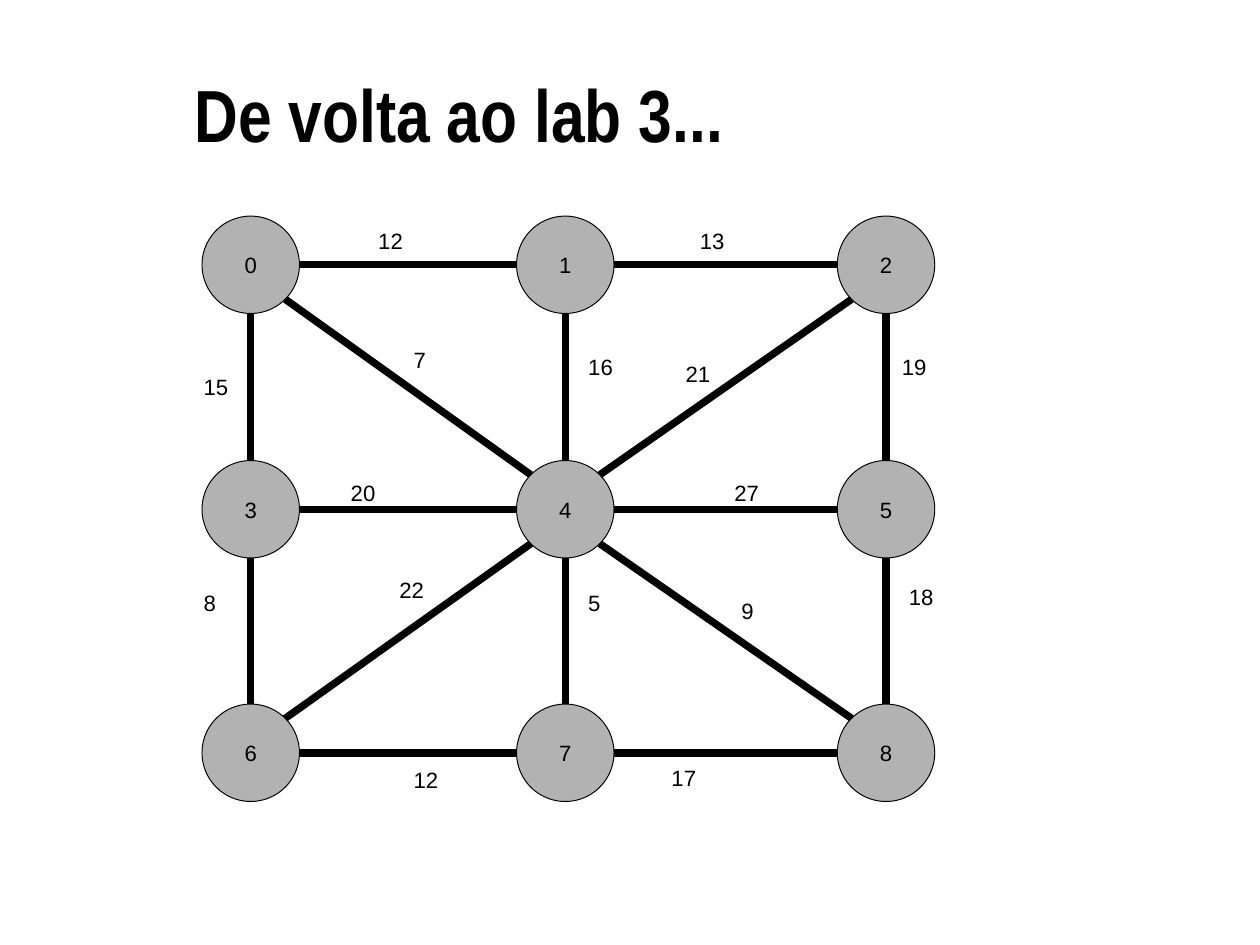
from dataclasses import dataclass
from math import hypot

from lxml import etree
from pptx import Presentation
from pptx.dml.color import RGBColor
from pptx.enum.shapes import MSO_CONNECTOR, MSO_SHAPE
from pptx.enum.text import MSO_ANCHOR, PP_ALIGN
from pptx.oxml.ns import qn
from pptx.util import Inches, Pt

STRAIGHT = MSO_CONNECTOR.STRAIGHT
OVAL = MSO_SHAPE.OVAL
MIDDLE = MSO_ANCHOR.MIDDLE
LEFT, CENTER = PP_ALIGN.LEFT, PP_ALIGN.CENTER


@dataclass(frozen=True)
class Theme:
    ink: RGBColor = RGBColor(0x00, 0x00, 0x00)
    node_fill: RGBColor = RGBColor(0xB2, 0xB2, 0xB2)
    title_font: str = "Arial Narrow"
    body_font: str = "Arial"
    title_size: Pt = Pt(60)
    body_size: Pt = Pt(18)
    node_line: Pt = Pt(0.79)
    edge_line: Pt = Pt(6)


THEME = Theme()

COLUMN_CENTERS = (2.83, 6.38, 10.0)
ROW_CENTERS = (2.99, 5.75, 8.5)
NODE_RADIUS = 0.55

# Node, node, weight, left and top of the weight label
EDGES = (
    (0, 1, 12, 4.17, 2.52),
    (1, 2, 13, 7.8, 2.52),
    (0, 3, 15, 2.2, 4.17),
    (0, 4, 7, 4.57, 3.86),
    (1, 4, 16, 6.54, 3.94),
    (2, 4, 21, 7.64, 4.02),
    (2, 5, 19, 10.08, 3.94),
    (3, 4, 20, 3.86, 5.36),
    (4, 5, 27, 8.19, 5.36),
    (3, 6, 8, 2.2, 6.61),
    (4, 6, 22, 4.41, 6.46),
    (4, 7, 5, 6.54, 6.61),
    (4, 8, 9, 8.27, 6.69),
    (5, 8, 18, 10.16, 6.54),
    (6, 7, 12, 4.57, 8.6),
    (7, 8, 17, 7.48, 8.58),
)


def write_text(shape, text, font_name, size, alignment, bold=False):
    paragraph = shape.text_frame.paragraphs[0]
    paragraph.text = text
    paragraph.alignment = alignment
    font = paragraph.font
    font.name, font.size, font.bold = font_name, size, bold
    font.color.rgb = THEME.ink


def add_title(slide, text):
    box = slide.shapes.add_textbox(
        Inches(0.18), Inches(0.39), Inches(10), Inches(1.78))
    frame = box.text_frame
    frame.word_wrap = True
    frame.vertical_anchor = MIDDLE
    frame.margin_left = frame.margin_right = 0
    frame.margin_top = frame.margin_bottom = 0
    write_text(box, text, THEME.title_font, THEME.title_size, CENTER, True)


def node_center(number):
    row, column = divmod(number, len(COLUMN_CENTERS))
    return COLUMN_CENTERS[column], ROW_CENTERS[row]


def add_node(slide, number):
    x, y = node_center(number)
    diameter = Inches(2 * NODE_RADIUS)
    node = slide.shapes.add_shape(
        OVAL, Inches(x - NODE_RADIUS), Inches(y - NODE_RADIUS),
        diameter, diameter)
    node.shadow.inherit = False
    node.fill.solid()
    node.fill.fore_color.rgb = THEME.node_fill
    node.line.color.rgb = THEME.ink
    node.line.width = THEME.node_line
    node.text_frame.word_wrap = False
    node.text_frame.vertical_anchor = MIDDLE
    write_text(node, str(number), THEME.body_font, THEME.body_size, CENTER)


def rim_point(number, toward):
    """Return the point, in eighths of a turn, where an edge leaves a node."""
    x, y = node_center(number)
    target_x, target_y = node_center(toward)
    step_x = (target_x > x) - (target_x < x)
    step_y = (target_y > y) - (target_y < y)
    reach = NODE_RADIUS / hypot(step_x, step_y)
    return Inches(x + step_x * reach), Inches(y + step_y * reach)


def add_edge(slide, start, end):
    edge = slide.shapes.add_connector(
        STRAIGHT, *rim_point(start, end), *rim_point(end, start))
    edge.line.color.rgb = THEME.ink
    edge.line.width = THEME.edge_line
    etree.SubElement(edge._element.spPr, qn("a:effectLst"))


def add_weight(slide, weight, left, top):
    box = slide.shapes.add_textbox(
        Inches(left), Inches(top), Inches(0.6), Inches(0.38))
    box.text_frame.word_wrap = True
    write_text(box, str(weight), THEME.body_font, THEME.body_size, LEFT)


def main():
    presentation = Presentation()
    presentation.slide_width = Inches(14.22)
    presentation.slide_height = Inches(10.67)
    slide = presentation.slides.add_slide(presentation.slide_layouts[6])

    add_title(slide, "De volta ao lab 3...")
    for number in range(len(COLUMN_CENTERS) * len(ROW_CENTERS)):
        add_node(slide, number)
    for start, end, *_ in EDGES:
        add_edge(slide, start, end)
    for _, _, weight, left, top in EDGES:
        add_weight(slide, weight, left, top)

    presentation.save("out.pptx")


if __name__ == "__main__":
    main()
